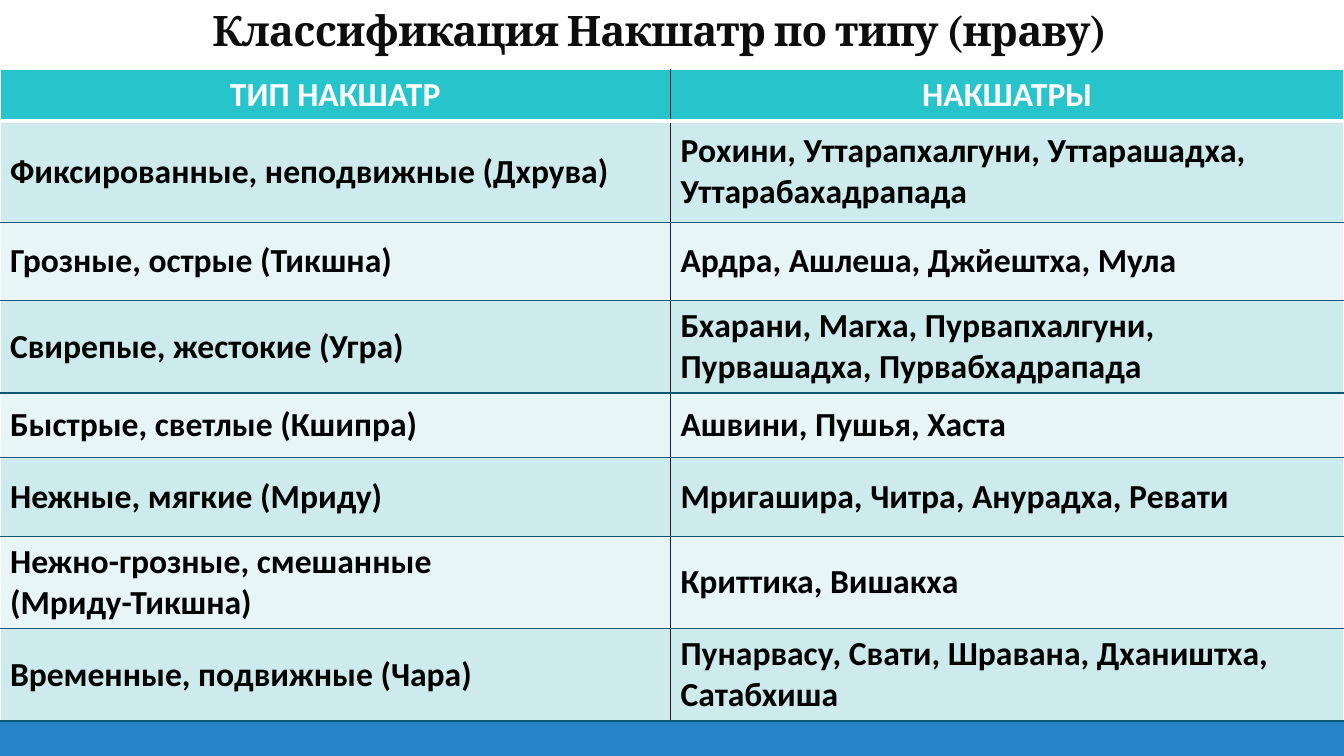
from lxml import etree
from pptx import Presentation
from pptx import util as u
from pptx.dml.color import RGBColor
from pptx.enum import shapes, text
from pptx.oxml.ns import qn

WHITE, BLACK, TEAL, BLUE = "FFFFFF", "000000", "28C4CC", "2683C6"
BANDS = ("CDEAEC", "E8F5F6")
ROW_LINE, COLUMN_LINE = "0E5772", "1A2034"

HEADINGS = ("ТИП НАКШАТР", "НАКШАТРЫ")
# Row height in inches, type, nakshatras
TYPES = [
    (1.01, "Фиксированные, неподвижные (Дхрува)",
     "Рохини, Уттарапхалгуни, Уттарашадха, Уттарабахадрапада"),
    (0.77, "Грозные, острые (Тикшна)", "Ардра, Ашлеша, Джйештха, Мула"),
    (0.92, "Свирепые, жестокие (Угра)",
     "Бхарани, Магха, Пурвапхалгуни, Пурвашадха, Пурвабхадрапада"),
    (0.64, "Быстрые, светлые (Кшипра)", "Ашвини, Пушья, Хаста"),
    (0.78, "Нежные, мягкие (Мриду)", "Мригашира, Читра, Анурадха, Ревати"),
    (0.92, "Нежно-грозные, смешанные\n(Мриду-Тикшна)", "Криттика, Вишакха"),
    (0.91, "Временные, подвижные (Чара)",
     "Пунарвасу, Свати, Шравана, Дхаништха, Сатабхиша"),
]


def color(value):
    return RGBColor.from_string(value)


class SlideBuilder:
    """Holds the slide and its style; places are shares of the slide's size."""

    title_font, body_font = "Cambria", "Calibri"
    title_size, body_size = 30, 24

    def __init__(self, deck):
        self.width, self.height = deck.slide_width, deck.slide_height
        self.page = deck.slides.add_slide(deck.slide_layouts[5])

    def place(self, left, top, width, height):
        return (int(left * self.width), int(top * self.height),
                int(width * self.width), int(height * self.height))

    def style(self, para, font, size, ink, align):
        para.alignment = align
        para.font.name, para.font.size = font, u.Pt(size)
        para.font.bold = True
        para.font.color.rgb = color(ink)

    def title(self, words, *share):
        box = self.page.shapes.title
        box.left, box.top, box.width, box.height = self.place(*share)
        frame = box.text_frame
        frame.text = words
        frame.word_wrap = True
        frame.auto_size = text.MSO_AUTO_SIZE.NONE
        frame.vertical_anchor = text.MSO_ANCHOR.TOP
        frame.margin_left = frame.margin_right = frame.margin_bottom = 0
        frame.margin_top = u.Inches(0.01)
        para = frame.paragraphs[0]
        para.line_spacing = 0.85
        self.style(para, self.title_font, self.title_size, "0D0D0D",
                   text.PP_ALIGN.CENTER)
        para.runs[0].font._element.set("spc", "-50")

    def band(self, fill, *share):
        band = self.page.shapes.add_shape(
            shapes.MSO_SHAPE.RECTANGLE, *self.place(*share))
        band.shadow.inherit = False
        band.fill.solid()
        band.fill.fore_color.rgb = color(fill)
        band.line.fill.background()

    def borders(self, cell, **sides):
        properties = cell._tc.get_or_add_tcPr()
        for side, (ink, points) in sides.items():
            line = etree.SubElement(properties, qn(f"a:ln{side}"),
                                    w=str(u.Pt(points)))
            fill = etree.SubElement(line, qn("a:solidFill"))
            etree.SubElement(fill, qn("a:srgbClr"), val=ink)

    def cell(self, cell, words, fill, ink, align):
        cell.text = words
        cell.vertical_anchor = text.MSO_ANCHOR.MIDDLE
        cell.fill.solid()
        cell.fill.fore_color.rgb = color(fill)
        for para in cell.text_frame.paragraphs:
            self.style(para, self.body_font, self.body_size, ink, align)

    def table(self, headings, rows, column_shares, row_shares, top):
        place = self.place(0, top, 1, sum(row_shares))
        table = self.page.shapes.add_table(
            len(rows) + 1, len(headings), *place).table
        for column, share in zip(table.columns, column_shares):
            column.width = int(share * self.width)
        for row, share in zip(table.rows, row_shares):
            row.height = int(share * self.height)

        last = len(headings) - 1
        for r, row in enumerate([headings, *rows]):
            above = (WHITE, 1) if r == 0 else (WHITE, 3) if r == 1 else (ROW_LINE, 1)
            below = (WHITE, 3) if r == 0 else (ROW_LINE, 1)
            for c, words in enumerate(row):
                cell = table.cell(r, c)
                self.borders(cell,
                             L=(COLUMN_LINE if c else WHITE, 1),
                             R=(COLUMN_LINE if c < last else WHITE, 1),
                             T=above, B=below)
                if r == 0:
                    self.cell(cell, words, TEAL, WHITE, text.PP_ALIGN.CENTER)
                else:
                    self.cell(cell, words, BANDS[(r - 1) % 2], BLACK,
                              text.PP_ALIGN.LEFT)


def main():
    deck = Presentation()
    deck.slide_width, deck.slide_height = u.Inches(13.33), u.Inches(7.5)
    slide = SlideBuilder(deck)

    # Footer band
    slide.band(BLUE, 0, 7 / 7.5, 1, 0.5 / 7.5)

    # Classification table
    heights = [0.51] + [height for height, *_ in TYPES]
    slide.table(HEADINGS, [row for _, *row in TYPES],
                column_shares=(6.65 / 13.33, 6.68 / 13.33),
                row_shares=[height / 7.5 for height in heights],
                top=0.69 / 7.5)

    # Title
    slide.title("Классификация Накшатр по типу (нраву)",
                0.36 / 13.33, 0.11 / 7.5, 12.37 / 13.33, 0.41 / 7.5)

    deck.save("out.pptx")


if __name__ == "__main__":
    main()
